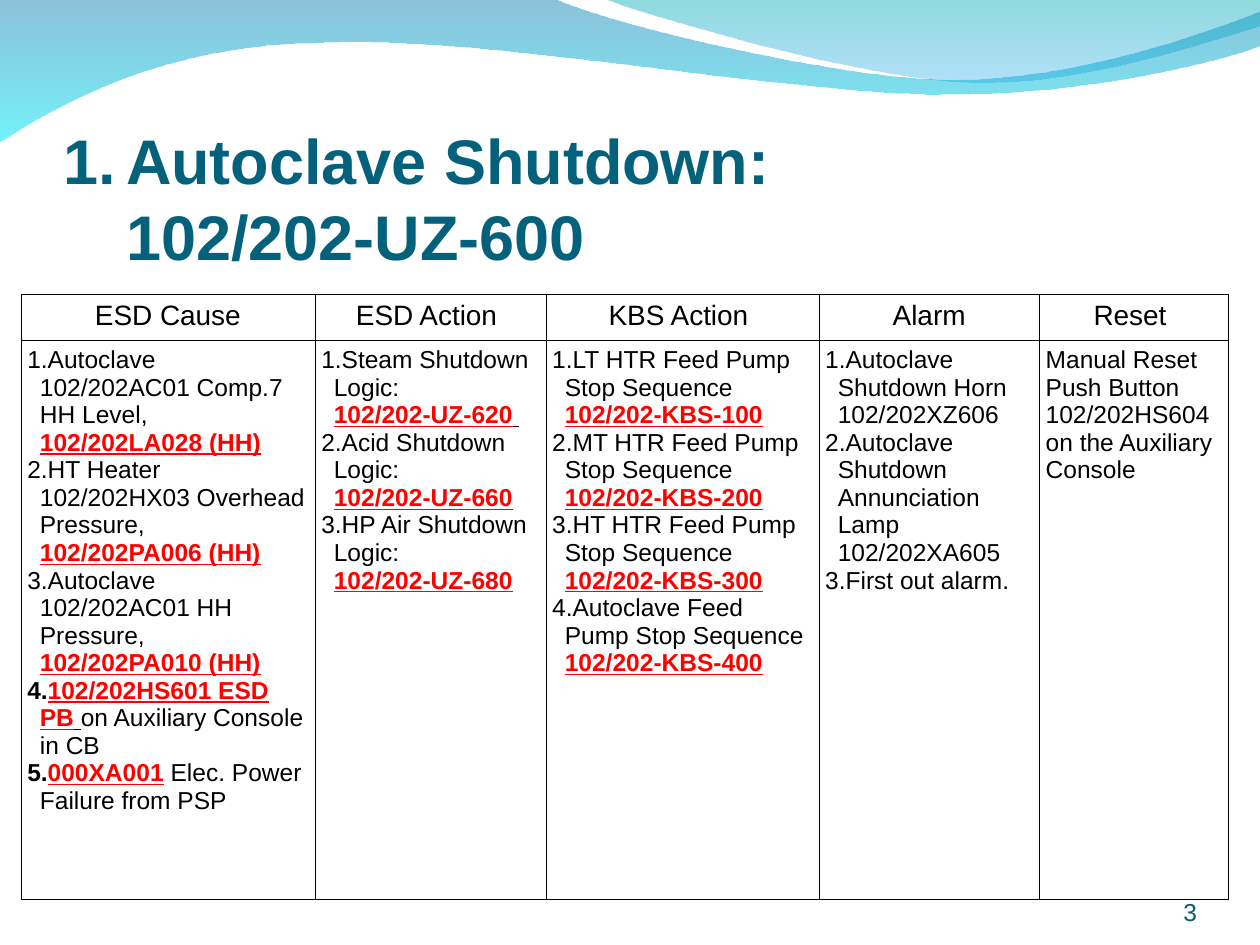
from lxml.etree import SubElement
from pptx import Presentation
from pptx.dml.color import RGBColor
from pptx.enum.text import MSO_ANCHOR as Anchor, MSO_AUTO_SIZE as AutoSize, PP_ALIGN as Align
from pptx.oxml.ns import qn
from pptx.util import Pt

BLACK = RGBColor(0x00, 0x00, 0x00)
RED = RGBColor(0xFF, 0x00, 0x00)
TITLE_BLUE = RGBColor(0x04, 0x61, 0x7B)
NUMBER_BLUE = RGBColor(0x04, 0x5C, 0x75)
WAVE_BLUE = RGBColor(0x00, 0x79, 0xAF)
WAVE_CYAN = RGBColor(0x00, 0xEB, 0xF8)
WAVE_TEAL = RGBColor(0x00, 0xAD, 0xB6)
WAVE_SKY = RGBColor(0x00, 0x9B, 0xE5)
FONT = "Arial"
THEME_HEADING_FONT = "+mj-lt"

LONG_WAVE = [
    [(0, -0.7)],
    [(316.8, -0.7)],
    [(342.7, 12.2), (478.1, 45.4), (545.8, 45.4)],
    [(614.2, 45.4), (689.8, 18.7), (720, 6.5)],
    [(720.7, 25.9)],
    [(707.8, 31.7), (626.4, 54.7), (537.1, 54)],
    [(447.8, 54), (275, 20.2), (185, 24.5)],
    [(92.9, 25.2), (33.1, 59.8), (-0.7, 81.4)],
]
SHORT_WAVE = [
    [(344.9, -0.7)],
    [(366.5, 7.9), (491, 44.6), (553.7, 46.8)],
    [(616.3, 49.7), (691.9, 23), (720, 15.1)],
    [(720, 0)],
]

HEADERS = ["ESD Cause", "ESD Action ", "KBS Action ", "Alarm", "Reset "]
COLUMN_WIDTHS = [168, 132, 156, 126, 108]
ROW_HEIGHTS = [26.4, 319.6]
CAUSES = [
    ("Autoclave 102/202AC01 Comp.7 HH Level, ", "102/202LA028 (HH)", ""),
    ("HT Heater 102/202HX03 Overhead Pressure, ", "102/202PA006 (HH)", ""),
    ("Autoclave 102/202AC01 HH Pressure, ", "102/202PA010 (HH)", ""),
    ("", "102/202HS601 ESD PB ", "on Auxiliary Console in CB"),
    ("", "000XA001", " Elec. Power Failure from PSP"),
]
SHUTDOWNS = [
    (f"{system} Shutdown Logic:\n", f"102/202-UZ-{number}", "")
    for system, number in [("Steam", "620 "), ("Acid", "660"), ("HP Air", "680")]
]
SEQUENCES = [
    (f"{feed} Feed Pump Stop Sequence ", f"102/202-KBS-{number}", "")
    for feed, number in [("LT HTR", 100), ("MT HTR", 200), ("HT HTR", 300), ("Autoclave", 400)]
]
ALARMS = [
    ("Autoclave Shutdown Horn 102/202XZ606", "", ""),
    ("Autoclave Shutdown Annunciation Lamp 102/202XA605", "", ""),
    ("First out alarm.", "", ""),
]
RESET = "Manual Reset Push Button 102/202HS604 on the Auxiliary Console"


def write(paragraph, text, size=14, color=BLACK, bold=False, underline=False, break_font=FONT):
    for index, line in enumerate(text.split("\n")):
        if index:
            paragraph.add_line_break()
            line_break = paragraph._p.findall(qn("a:br"))[-1]
            properties = SubElement(line_break, qn("a:rPr"), sz=str(size * 100))
            SubElement(properties, qn("a:latin"), typeface=break_font)
        if line:
            run = paragraph.add_run()
            run.text = line
            font = run.font
            font.name, font.size, font.bold, font.underline = FONT, Pt(size), bold, underline
            font.color.rgb = color


def number_paragraph(paragraph, indent, color):
    properties = paragraph._p.get_or_add_pPr()
    properties.set("marL", str(Pt(indent)))
    properties.set("indent", str(Pt(-indent)))
    bullet_color = SubElement(properties, qn("a:buClr"))
    SubElement(bullet_color, qn("a:srgbClr"), val=str(color))
    SubElement(properties, qn("a:buFont"), typeface=FONT)
    SubElement(properties, qn("a:buAutoNum"), type="arabicPeriod")


def bend_edges(wave, segments):
    edges = list(wave.element.iter(qn("a:lnTo")))
    for edge, segment in zip(edges, segments[1:]):
        if len(segment) == 3:
            edge.tag = qn("a:cubicBezTo")
            edge.remove(edge[0])
            for x, y in segment:
                SubElement(edge, qn("a:pt"), x=str(Pt(x) - wave.left), y=str(Pt(y) - wave.top))


def add_wave(slide, segments, colors, opacities):
    start, *corners = [(Pt(x), Pt(y)) for x, y in (segment[-1] for segment in segments)]
    builder = slide.shapes.build_freeform(*start)
    builder.add_line_segments(corners, close=True)
    wave = builder.convert_to_shape()
    bend_edges(wave, segments)
    wave.shadow.inherit = False
    wave.line.fill.background()
    wave.fill.gradient()
    wave.fill.gradient_angle = 270
    for stop, color in zip(wave.fill.gradient_stops, colors):
        stop.color.rgb = color
    for tint, opacity in zip(wave.element.spPr.iter(qn("a:srgbClr")), opacities):
        SubElement(tint, qn("a:alpha"), val=str(opacity * 1000))


def set_title(slide):
    title = slide.shapes.title
    title.element.getparent().append(title.element)
    title.left, title.top, title.width, title.height = Pt(36), Pt(66), Pt(648), Pt(90)
    frame = title.text_frame
    frame.auto_size = AutoSize.NONE
    frame.vertical_anchor = Anchor.BOTTOM
    frame.margin_left = frame.margin_right = frame.margin_bottom = 0
    frame.margin_top = Pt(3.6)
    heading = frame.paragraphs[0]
    heading.alignment = Align.LEFT
    number_paragraph(heading, 36, TITLE_BLUE)
    write(heading, "Autoclave Shutdown: \n102/202-UZ-600", size=36, color=TITLE_BLUE,
          bold=True, break_font=THEME_HEADING_FONT)


def format_cell(cell):
    cell.margin_left = cell.margin_right = cell.margin_top = cell.margin_bottom = Pt(3.6)
    properties = cell._tc.get_or_add_tcPr()
    for side in ("lnL", "lnR", "lnT", "lnB"):
        border = SubElement(properties, qn(f"a:{side}"), w=str(Pt(0.45)))
        border_fill = SubElement(border, qn("a:solidFill"))
        SubElement(border_fill, qn("a:srgbClr"), val=str(BLACK))
    cell.fill.background()


def fill_list(cell, items):
    frame = cell.text_frame
    for index, (lead, tag, tail) in enumerate(items):
        paragraph = frame.add_paragraph() if index else frame.paragraphs[0]
        number_paragraph(paragraph, 7.2, BLACK)
        write(paragraph, lead)
        write(paragraph, tag.rstrip(), color=RED, bold=True, underline=True)
        if tag.endswith(" "):
            write(paragraph, " ", underline=True)
        write(paragraph, tail)


def add_shutdown_table(slide):
    table = slide.shapes.add_table(
        2, len(HEADERS), Pt(12), Pt(168), Pt(sum(COLUMN_WIDTHS)), Pt(sum(ROW_HEIGHTS))
    ).table
    table.first_row = table.horz_banding = False
    for column, width in zip(table.columns, COLUMN_WIDTHS):
        column.width = Pt(width)
    for row, height in zip(table.rows, ROW_HEIGHTS):
        row.height = Pt(height)
    for cell in table.iter_cells():
        format_cell(cell)
    for index, header in enumerate(HEADERS):
        paragraph = table.cell(0, index).text_frame.paragraphs[0]
        paragraph.alignment = Align.CENTER
        write(paragraph, header, size=16)
    for index, items in enumerate([CAUSES, SHUTDOWNS, SEQUENCES, ALARMS]):
        fill_list(table.cell(1, index), items)
    write(table.cell(1, 4).text_frame.paragraphs[0], RESET)


def add_page_number(slide):
    frame = slide.shapes.add_textbox(Pt(624), Pt(500.4), Pt(60), Pt(28.8)).text_frame
    frame.word_wrap = True
    frame.vertical_anchor = Anchor.BOTTOM
    frame.margin_left = frame.margin_right = frame.margin_top = frame.margin_bottom = 0
    frame.paragraphs[0].alignment = Align.RIGHT
    write(frame.paragraphs[0], "3", color=NUMBER_BLUE)


def main():
    presentation = Presentation()
    presentation.slide_width, presentation.slide_height = Pt(720), Pt(540)
    slide = presentation.slides.add_slide(presentation.slide_layouts[5])
    add_wave(slide, LONG_WAVE, (WAVE_BLUE, WAVE_CYAN), (45, 55))
    add_wave(slide, SHORT_WAVE, (WAVE_TEAL, WAVE_SKY), (45, 30))
    set_title(slide)
    add_shutdown_table(slide)
    add_page_number(slide)
    presentation.save("out.pptx")


if __name__ == "__main__":
    main()
